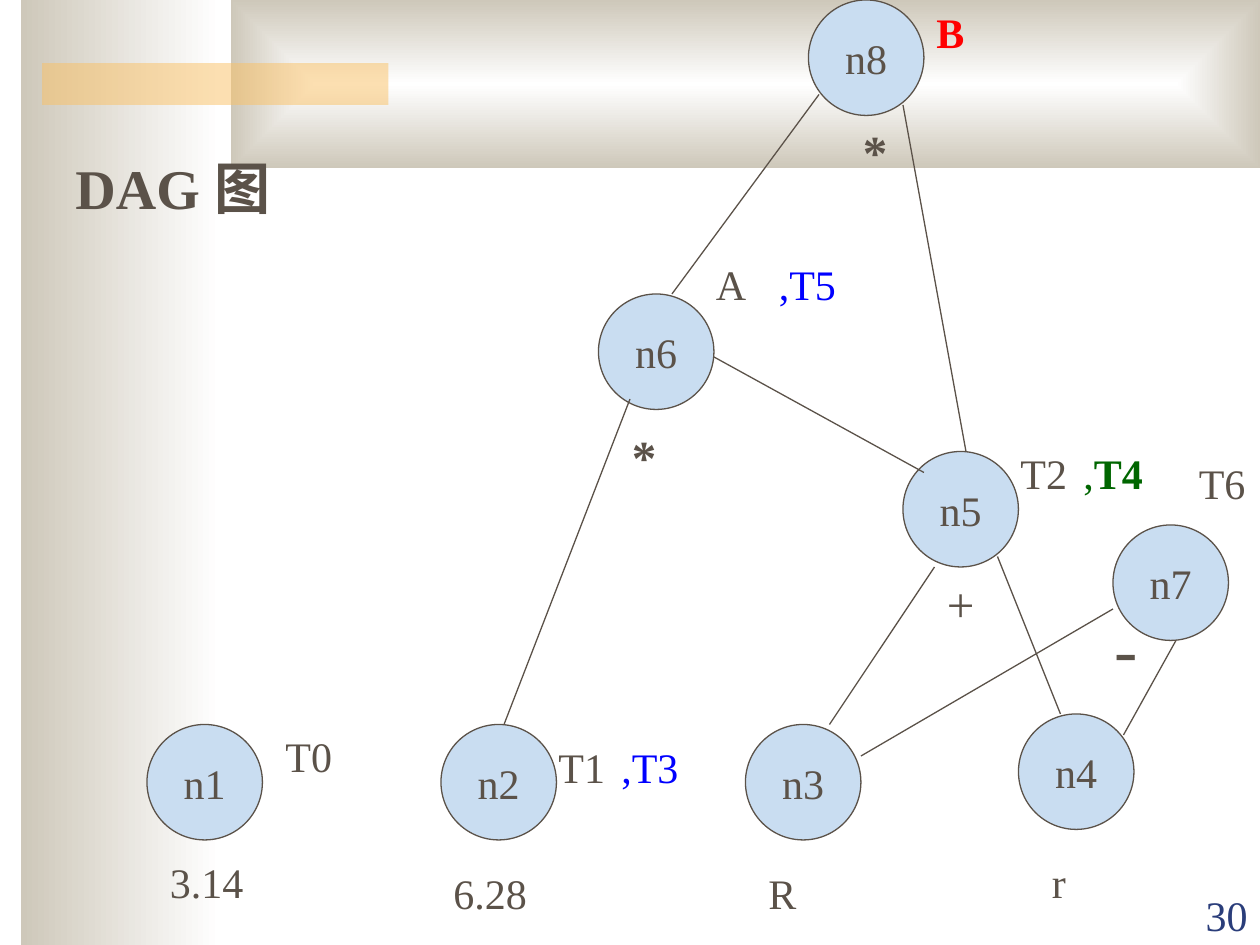
from pptx import Presentation
from pptx.dml.color import RGBColor
from pptx.enum.shapes import MSO_CONNECTOR, MSO_SHAPE
from pptx.enum.text import MSO_ANCHOR, PP_ALIGN
from pptx.oxml import parse_xml
from pptx.oxml.ns import qn
from pptx.util import Pt
from lxml import etree

INK, BLUE, GREEN, RED = "5B5249", "0000FF", "006600", "FF0000"


def paint(color, code):
    color.rgb = RGBColor.from_string(code)


def write(shape, text, size, code, bold=False):
    frame = shape.text_frame
    frame.text = text
    font = frame.paragraphs[0].runs[0].font
    font.name, font.size, font.bold = "Times New Roman", Pt(size), bold
    paint(font.color, code)
    return frame


deck = Presentation()
deck.slide_width, deck.slide_height = Pt(720), Pt(540)
slide = deck.slides.add_slide(deck.slide_layouts[6])
shapes = slide.shapes

# Backdrop: left band, top band, accent bar
bands = []
for box in [(12, 0, 114, 540), (132, 0, 588, 96), (24, 36, 198, 24)]:
    band = shapes.add_shape(MSO_SHAPE.RECTANGLE, *map(Pt, box))
    band.shadow.inherit = False
    band.line.fill.background()
    bands.append(band)
left, top, bar = bands

for band in (left, top):
    band.fill.gradient()
    band.fill.gradient_angle = 180
    for stop, code in zip(band.fill.gradient_stops, ("FFFFFF", "CEC8BA")):
        paint(stop.color, code)

# The top band fades from its centre to its edges
lin = next(top.element.iter(qn("a:lin")))
lin.getparent().replace(lin, parse_xml(
    '<a:path xmlns:a="http://schemas.openxmlformats.org/drawingml/2006/main" path="rect">'
    '<a:fillToRect l="50000" t="50000" r="50000" b="50000"/></a:path>'))

# The accent bar is half transparent
bar.fill.solid()
paint(bar.fill.fore_color, "FAC164")
tint = next(bar.element.iter(qn("a:srgbClr")))
etree.SubElement(tint, qn("a:alpha")).set("val", "50000")

# Graph nodes: name, left, top
nodes = [
    ("n1", 84, 414), ("n7", 636, 300), ("n2", 252, 414), ("n6", 342, 168),
    ("n8", 462, 0), ("n5", 516, 258), ("n3", 426, 414), ("n4", 582, 408),
]
for name, x, y in nodes:
    node = shapes.add_shape(MSO_SHAPE.OVAL, Pt(x), Pt(y), Pt(66), Pt(66))
    node.shadow.inherit = False
    node.fill.solid()
    paint(node.fill.fore_color, "C9DDF1")
    paint(node.line.color, INK)
    node.line.width = Pt(0.75)
    frame = write(node, name, 24, INK)
    frame.word_wrap = False
    frame.vertical_anchor = MSO_ANCHOR.MIDDLE
    frame.paragraphs[0].alignment = PP_ALIGN.CENTER

# Edges: start x, y, end x, y
edges = [
    (534, 324, 474, 414), (570, 318, 606, 408),  # n5 to n3, n4
    (360, 228, 288, 414), (408, 204, 528, 270),  # n6 to n2, n5
    (636, 348, 492, 432), (672, 366, 642, 420),  # n7 to n3, n4
    (468, 54, 384, 168), (516, 60, 552, 258),    # n8 to n6, n5
]
for ends in edges:
    edge = shapes.add_connector(MSO_CONNECTOR.STRAIGHT, *map(Pt, ends))
    paint(edge.line.color, INK)
    edge.line.width = Pt(0.75)
    etree.SubElement(edge.element.spPr, qn("a:effectLst"))

# Title, values, names and operators: text, left, top, width, size, colour, bold
labels = [
    ("DAG 图", 36, 84, 162, 32, INK, True),
    ("3.14", 90, 486, 60, 24, INK, False),
    ("6.28", 252, 492, 66, 24, INK, False),
    ("R", 432, 492, 66, 24, INK, False),
    ("r", 594, 486, 60, 24, INK, False),
    ("T0", 156, 414, 60, 24, INK, False),
    ("T1", 312, 420, 54, 24, INK, False),
    (",T3", 348, 420, 66, 24, BLUE, False),
    ("T2", 576, 252, 48, 24, INK, False),
    ("A", 402, 144, 42, 24, INK, False),
    (",T5", 438, 144, 66, 24, BLUE, False),
    ("T6", 678, 258, 42, 24, INK, False),
    ("B", 528, 0, 54, 24, RED, True),
    ("+", 534, 324, 48, 28, INK, False),
    ("*", 354, 240, 60, 28, INK, True),
    ("*", 486, 66, 30, 28, INK, True),
    ("-", 630, 342, 36, 40, INK, False),
    (",", 612, 252, 60, 24, GREEN, False),
    ("30", 648, 504.7, 72, 24, "2A3D7A", False),
]
for text, x, y, wide, size, code, bold in labels:
    high = round(size * 1.2 + 7.2)
    label = shapes.add_textbox(Pt(x), Pt(y), Pt(wide), Pt(high))
    frame = write(label, text, size, code, bold)
    frame.word_wrap = True
    line = frame.paragraphs[0]
    if text == ",":  # bold name after a plain comma
        run = line.add_run()
        run.text = "T4"
        run.font.name, run.font.size, run.font.bold = "Times New Roman", Pt(size), True
        paint(run.font.color, code)
    if text == "30":  # page number
        line.alignment = PP_ALIGN.RIGHT
        frame.vertical_anchor = MSO_ANCHOR.BOTTOM

deck.save("out.pptx")
